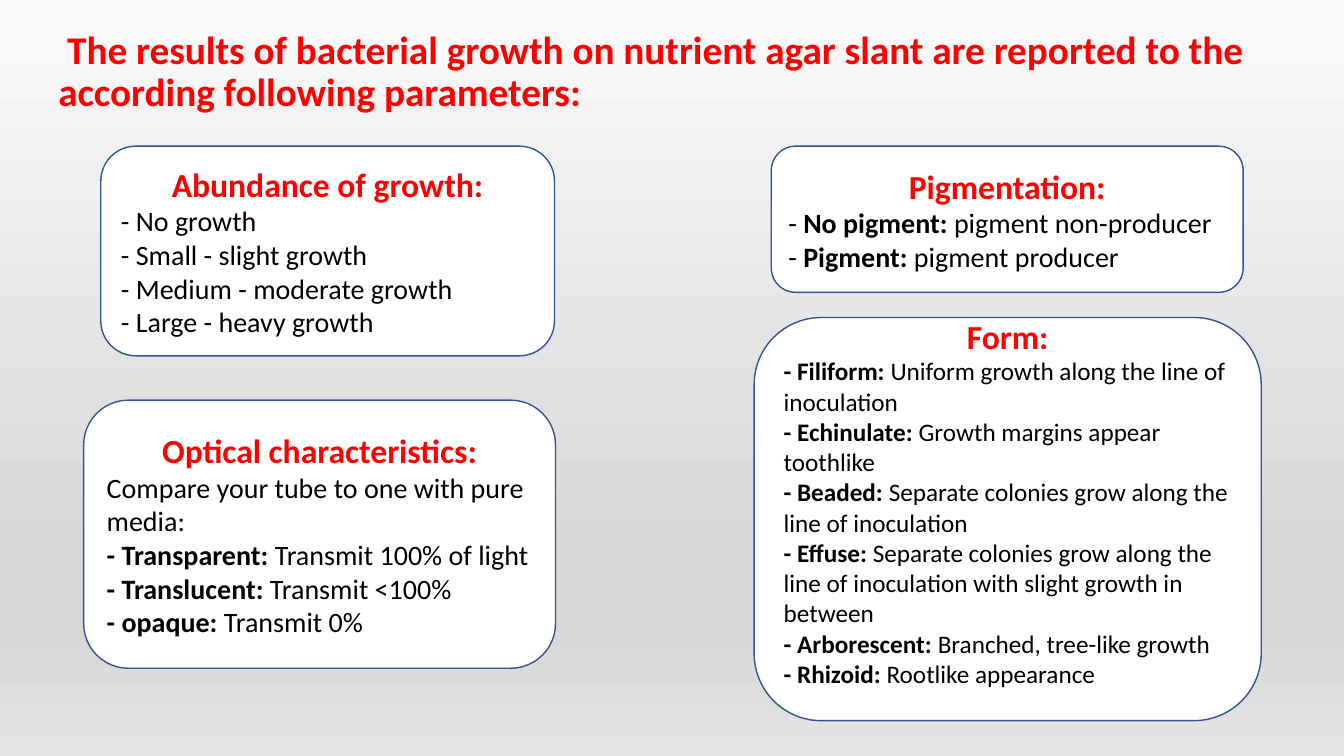
from dataclasses import dataclass

import pptx
import pptx.dml.color
import pptx.enum.shapes
import pptx.enum.text
import pptx.oxml
import pptx.oxml.ns
import pptx.presentation
import pptx.shapes.autoshape
import pptx.slide
import pptx.text.text
import pptx.util

Inches = pptx.util.Inches
Pt = pptx.util.Pt
RGBColor = pptx.dml.color.RGBColor

RED = RGBColor(0xFF, 0x00, 0x00)
BLACK = RGBColor(0x00, 0x00, 0x00)
WHITE = RGBColor(0xFF, 0xFF, 0xFF)
OUTLINE = RGBColor(0x32, 0x54, 0x91)
LIGHT = RGBColor(0xFA, 0xFA, 0xFA)
MIDDLE = RGBColor(0xD7, 0xD7, 0xD7)
LOW = RGBColor(0xE4, 0xE4, 0xE4)
BACKGROUND_STOPS = ((0, LIGHT), (74, MIDDLE), (83, MIDDLE), (100, LOW))

FONT = "Calibri"
TITLE = (" The results of bacterial growth on nutrient agar slant are reported "
         "to the according following parameters:")


@dataclass(frozen=True)
class Span:
    text: str
    bold: bool = False


@dataclass(frozen=True)
class Card:
    left: float
    top: float
    width: float
    height: float
    heading: str
    lines: tuple[tuple[Span, ...], ...]
    size: int = 20
    heading_indent: float = 0
    bottom_inset: float = 0.05


def plain(text: str) -> tuple[Span, ...]:
    return (Span(text),)


def term(name: str, meaning: str) -> tuple[Span, ...]:
    return Span(f"- {name}: ", True), Span(meaning)


def pigment(name: str, meaning: str) -> tuple[Span, ...]:
    """A term whose dash is not bold."""
    return Span("- "), Span(f"{name}: ", True), Span(meaning)


CARDS = (
    Card(1, 1.45, 4.5, 2.08, "Abundance of growth:", (
        plain("- No growth"),
        plain("- Small - slight growth"),
        plain("- Medium - moderate growth"),
        plain("- Large - heavy growth"),
    ), heading_indent=-0.15),
    Card(7.65, 1.45, 4.68, 1.45, "Pigmentation:", (
        pigment("No pigment", "pigment non-producer"),
        pigment("Pigment", "pigment producer"),
    ), heading_indent=-0.08),
    Card(0.83, 3.97, 4.68, 2.66, "Optical characteristics:", (
        plain("Compare your tube to one with pure media:"),
        term("Transparent", "Transmit 100% of light"),
        term("Translucent", "Transmit <100%"),
        term("opaque", "Transmit 0%"),
    ), heading_indent=-0.15),
    Card(7.48, 3.15, 5.03, 4, "Form:", (
        term("Filiform", "Uniform growth along the line of inoculation"),
        term("Echinulate", "Growth margins appear toothlike"),
        term("Beaded", "Separate colonies grow along the line of inoculation"),
        term("Effuse", "Separate colonies grow along the line of inoculation "
                       "with slight growth in between"),
        term("Arborescent", "Branched, tree-like growth"),
        term("Rhizoid", "Rootlike appearance"),
    ), size=18, bottom_inset=0.39),
)


def set_font(para: pptx.text.text._Paragraph, size: int, color: RGBColor) -> None:
    para.font.name = FONT
    para.font.size = Pt(size)
    para.font.color.rgb = color


def paint_background(page: pptx.slide.Slide) -> None:
    fill = page.background.fill
    fill.gradient()
    fill.gradient_angle = 270
    stops = page.element.find(".//" + pptx.oxml.ns.qn("a:gsLst"))
    for stop in list(stops):
        stops.remove(stop)
    for percent, color in BACKGROUND_STOPS:
        stops.append(pptx.oxml.parse_xml(
            f'<a:gs {pptx.oxml.ns.nsdecls("a")} pos="{percent * 1000}">'
            f'<a:srgbClr val="{color}"/></a:gs>'))


def add_title(page: pptx.slide.Slide) -> None:
    box = page.shapes.add_textbox(Inches(0.48), Inches(0), Inches(12.03), Inches(1.45))
    frame = box.text_frame
    frame.word_wrap = True
    frame.vertical_anchor = pptx.enum.text.MSO_ANCHOR.MIDDLE
    para = frame.paragraphs[0]
    para.text = TITLE
    para.line_spacing = 0.9
    set_font(para, 28, RED)
    para.font.bold = True


def add_card(page: pptx.slide.Slide, card: Card) -> None:
    shape = page.shapes.add_shape(
        pptx.enum.shapes.MSO_SHAPE.ROUNDED_RECTANGLE,
        Inches(card.left), Inches(card.top), Inches(card.width), Inches(card.height))
    shape.shadow.inherit = False
    shape.fill.solid()
    shape.fill.fore_color.rgb = WHITE
    shape.line.color.rgb = OUTLINE
    shape.line.width = Pt(1)

    frame = shape.text_frame
    frame.word_wrap = True
    frame.vertical_anchor = pptx.enum.text.MSO_ANCHOR.MIDDLE
    frame.margin_bottom = Inches(card.bottom_inset)
    heading = frame.paragraphs[0]
    heading.text = card.heading
    heading.alignment = pptx.enum.text.PP_ALIGN.CENTER
    heading._p.get_or_add_pPr().set("indent", str(Inches(card.heading_indent)))
    set_font(heading, 24, RED)
    heading.font.bold = True

    for line in card.lines:
        para = frame.add_paragraph()
        para.alignment = pptx.enum.text.PP_ALIGN.LEFT
        set_font(para, card.size, BLACK)
        for span in line:
            run = para.add_run()
            run.text = span.text
            run.font.bold = span.bold


def main() -> None:
    deck = pptx.Presentation()
    deck.slide_width = Inches(13.33)
    deck.slide_height = Inches(7.5)
    page = deck.slides.add_slide(deck.slide_layouts[6])
    paint_background(page)
    add_title(page)
    for card in CARDS:
        add_card(page, card)
    deck.save("out.pptx")


if __name__ == "__main__":
    main()
